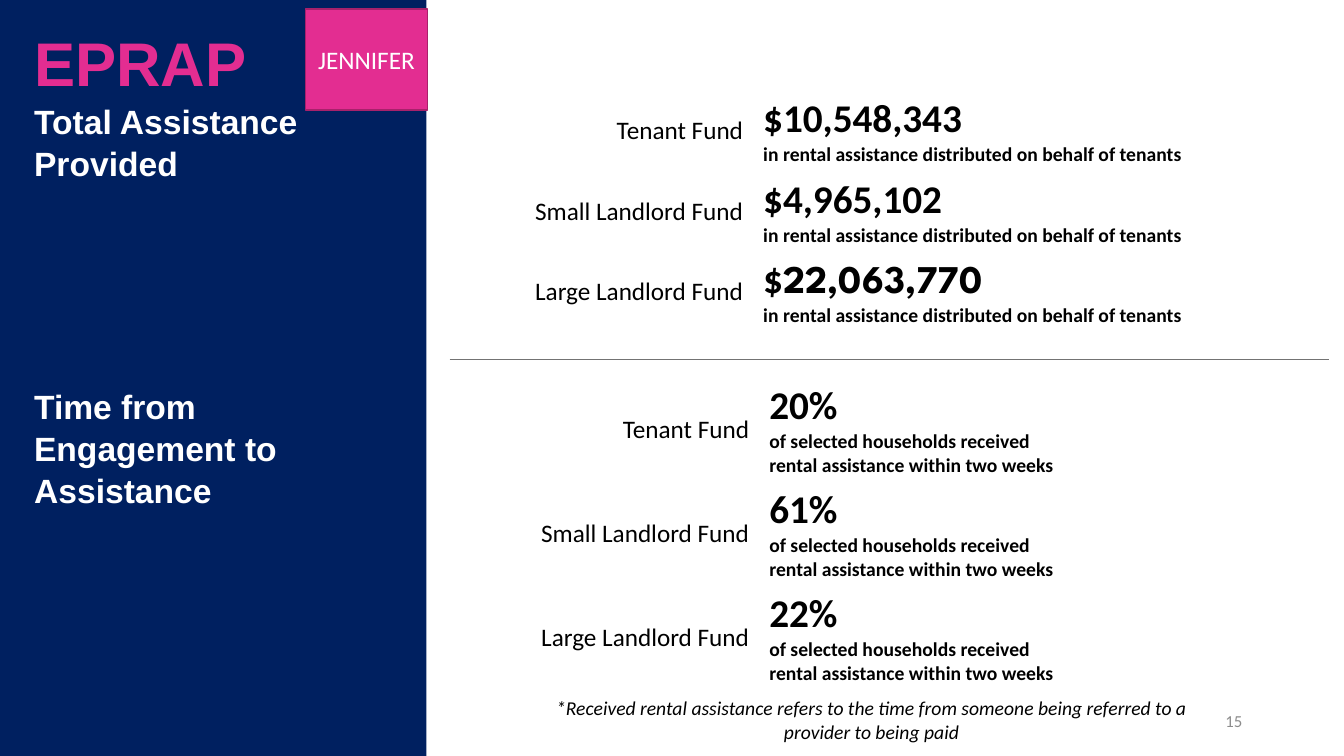
from lxml import etree
from pptx import Presentation
from pptx.dml.color import RGBColor
from pptx.enum.shapes import MSO_CONNECTOR, MSO_SHAPE
from pptx.enum.text import MSO_ANCHOR, PP_ALIGN
from pptx.oxml.ns import qn
from pptx.util import Inches, Pt

RECT, LINE = MSO_SHAPE.RECTANGLE, MSO_CONNECTOR.STRAIGHT
LEFT, MID, RIGHT = PP_ALIGN.LEFT, PP_ALIGN.CENTER, PP_ALIGN.RIGHT
CENTER = MSO_ANCHOR.MIDDLE
HEX = {"navy": "002060", "pink": "E32D91", "plum": "A8216B", "rule": "737373",
       "gray": "8C8C8C", "white": "FFFFFF", "black": "000000"}
RGB = {name: RGBColor.from_string(code) for name, code in HEX.items()}

deck = Presentation()
deck.slide_width, deck.slide_height = Inches(13.33), Inches(7.5)
slide = deck.slides.add_slide(deck.slide_layouts[6])
shapes = slide.shapes


def write(para, text, size, color="black", font="Calibri", bold=False, italic=False):
    run = para.add_run()
    run.text = text
    face = run.font
    face.name, face.size, face.bold, face.italic = font, Pt(size), bold, italic
    face.color.rgb = RGB[color]


def frame(left, top, width, height):
    box = shapes.add_textbox(Inches(left), Inches(top), Inches(width), Inches(height))
    box.text_frame.word_wrap = True
    return box.text_frame


# Side panel
panel = shapes.add_shape(RECT, 0, 0, Inches(4.23), deck.slide_height)
panel.shadow.inherit = False
panel.fill.solid()
panel.fill.fore_color.rgb = RGB["navy"]
panel.line.fill.background()

# Page number
page = frame(9.42, 6.95, 3, 0.4)
page.vertical_anchor = CENTER
page.paragraphs[0].alignment = RIGHT
write(page.paragraphs[0], "15", 12, "gray")

# Headings on the panel: text, size, colour, space before
heads = frame(0.24, 0.17, 3.74, 4.88)
for i, (text, size, color, gap) in enumerate([
        ("EPRAP", 44, "pink", 0),
        ("Total Assistance Provided", 24, "white", 0),
        ("Time from Engagement to Assistance", 24, "white", 144)]):
    para = heads.add_paragraph() if i else heads.paragraphs[0]
    para.line_spacing = 1.04
    para.space_before = Pt(gap)
    write(para, text, size, color, "Arial", bold=True)

# Fund tables: left, top, value column, row height, figures, caption lines
funds = ["Tenant Fund", "Small Landlord Fund", "Large Landlord Fund"]
paid = [[("$10,548,343", "Calibri")], [("$4,965,102", "Calibri")],
        [("$", "Calibri"), ("22,063,770", "League Spartan")]]
share = [[(text, "Calibri")] for text in ("20%", "61%", "22%")]
for left, top, wide, high, values, notes in [
        (4.28, 0.9, 5.43, 0.8, paid,
         ["in rental assistance distributed on behalf of tenants"]),
        (4.34, 3.75, 4.19, 1.03, share,
         ["of selected households received", "rental assistance within two weeks"])]:
    grid = shapes.add_table(3, 2, Inches(left), Inches(top),
                            Inches(3.19 + wide), Inches(3 * high)).table
    grid.first_row = grid.horz_banding = False
    grid.columns[0].width, grid.columns[1].width = Inches(3.19), Inches(wide)
    for row, fund, value in zip(grid.rows, funds, values):
        row.height = Inches(high)
        for cell in row.cells:
            cell.fill.background()
            cell.vertical_anchor = CENTER
            cell.margin_top = cell.margin_bottom = Inches(0.04)
        label, fact = (cell.text_frame for cell in row.cells)
        label.paragraphs[0].alignment = RIGHT
        write(label.paragraphs[0], fund, 18)
        for text, font in value:
            write(fact.paragraphs[0], text, 28, font=font, bold=True)
        for note in notes:
            write(fact.add_paragraph(), note, 14, bold=True)

# Footnote
foot = frame(5.26, 6.86, 6.77, 0.57)
foot.paragraphs[0].alignment = MID
write(foot.paragraphs[0], "*Received rental assistance refers to the time from someone "
      "being referred to a provider to being paid", 14, italic=True)

# Rule between the tables
rule = shapes.add_connector(LINE, Inches(4.46), Inches(3.57), Inches(13.18), Inches(3.57))
rule.line.color.rgb = RGB["rule"]
rule.line.width = Pt(0.5)
etree.SubElement(rule._element.spPr, qn("a:effectLst"))

# Speaker tag
tag = shapes.add_shape(RECT, Inches(3.03), Inches(0.09), Inches(1.21), Inches(1))
tag.shadow.inherit = False
tag.fill.solid()
tag.fill.fore_color.rgb = RGB["pink"]
tag.line.color.rgb = RGB["plum"]
tag.line.width = Pt(1)
tag.text_frame.vertical_anchor = CENTER
tag.text_frame.paragraphs[0].alignment = MID
write(tag.text_frame.paragraphs[0], "JENNIFER", 18, "white")

deck.save("out.pptx")
